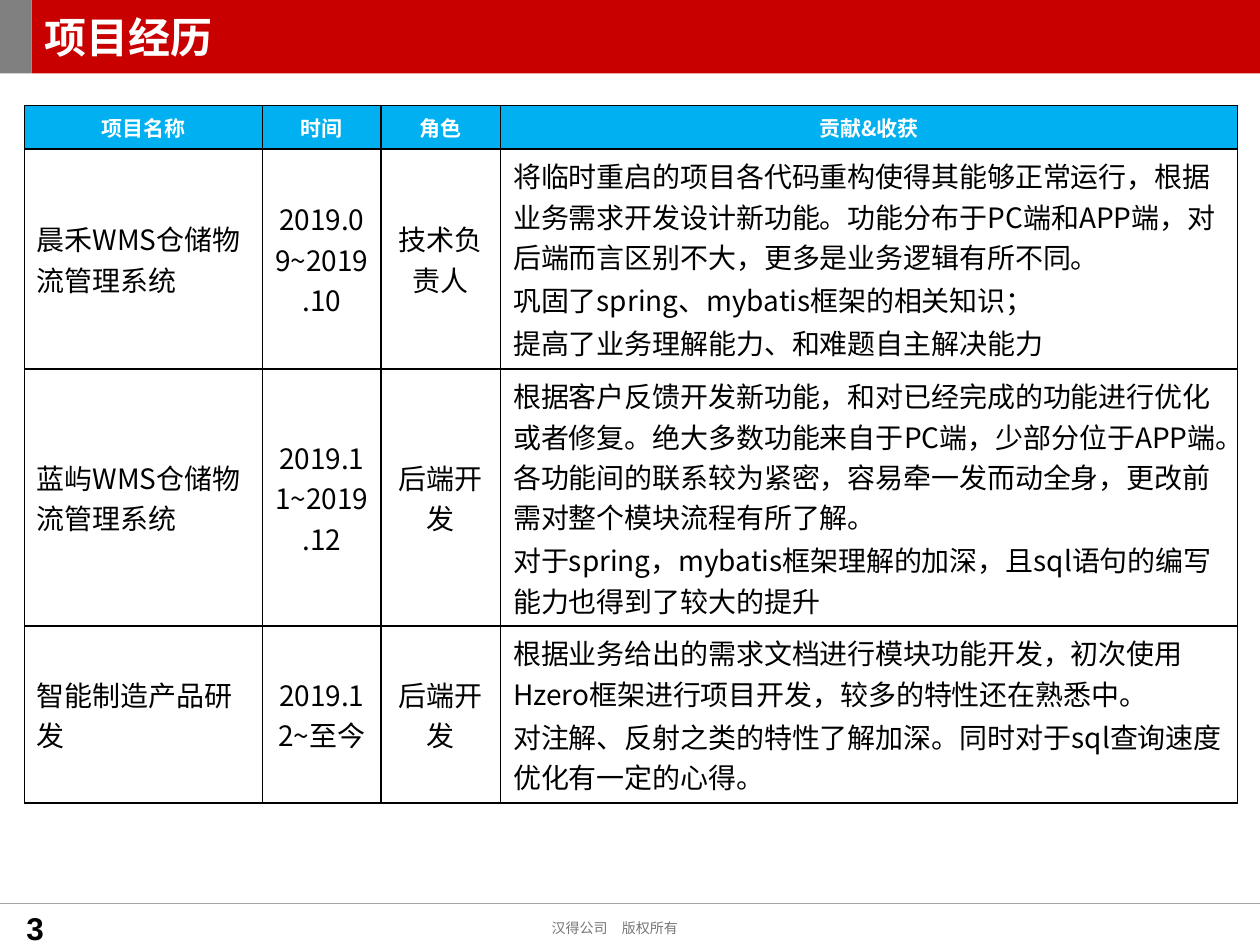
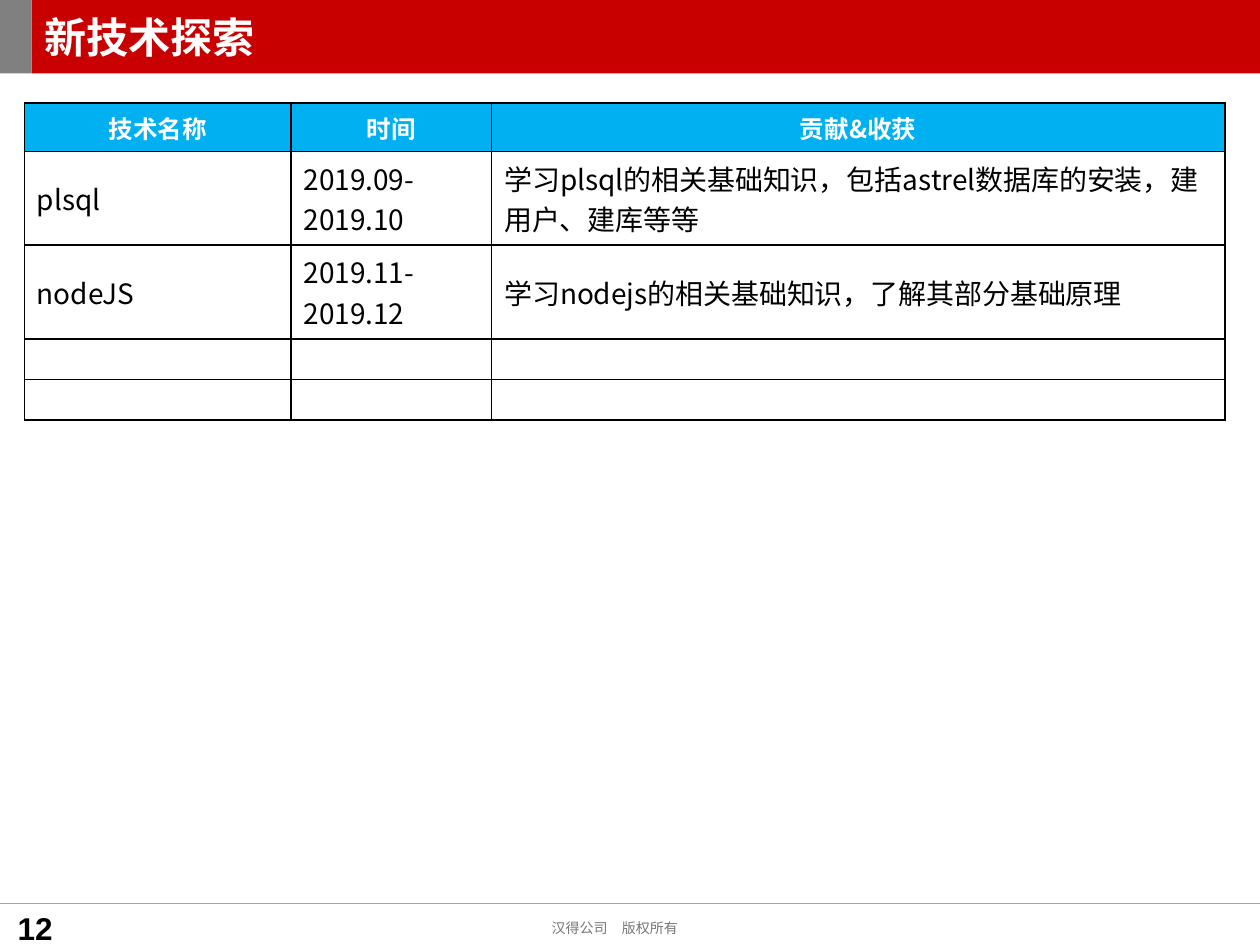
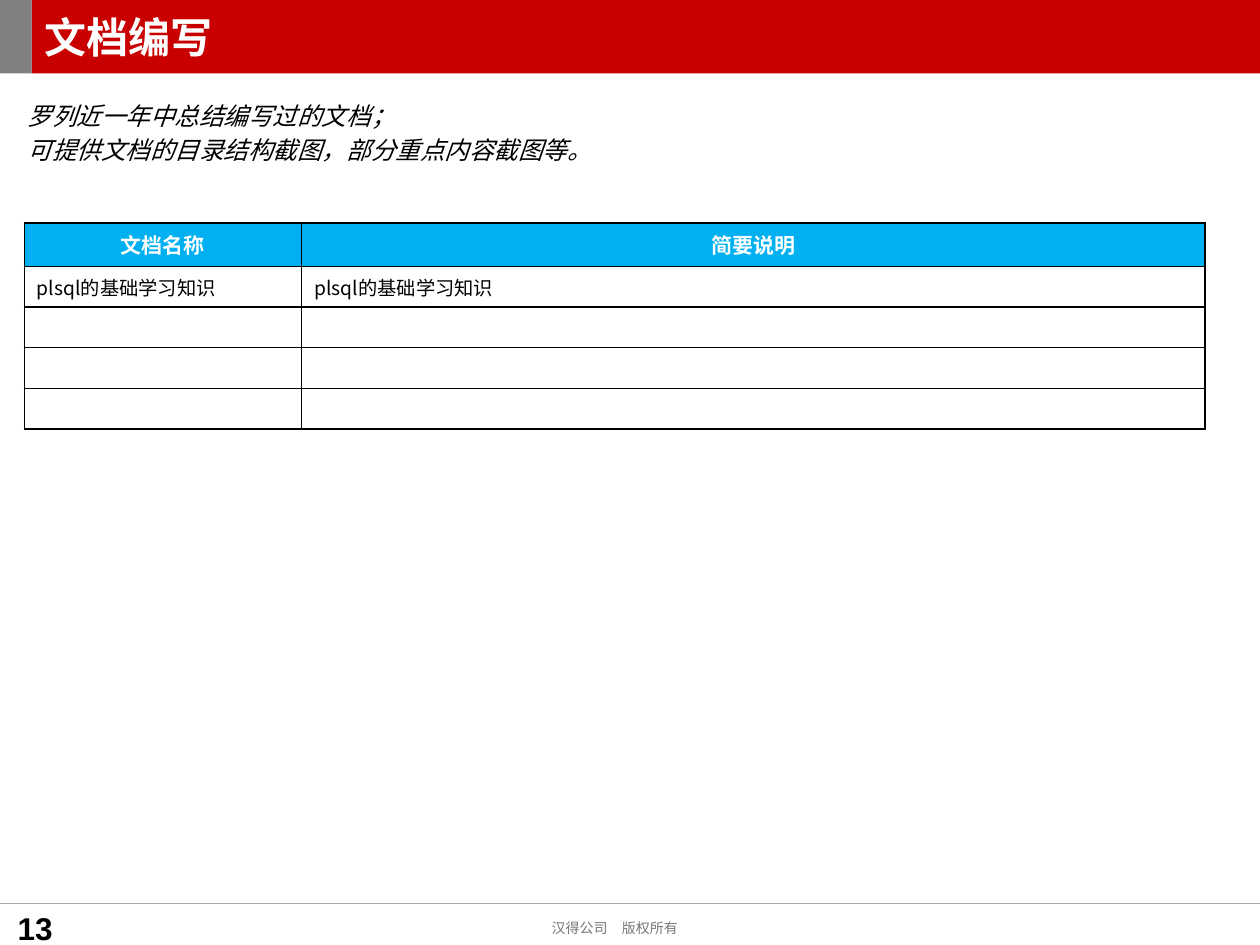
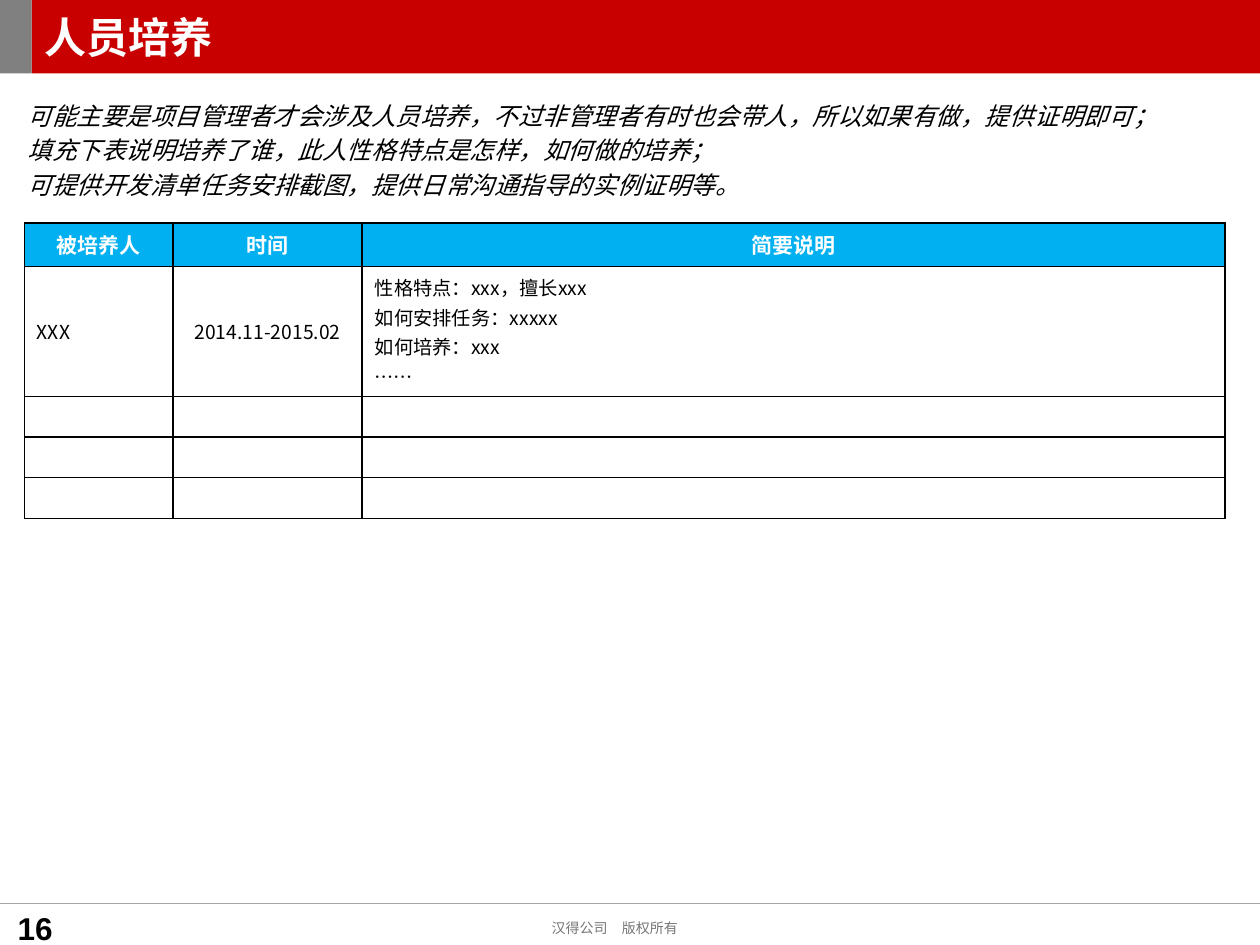
from lxml.etree import SubElement
from pptx import Presentation
from pptx.dml.color import RGBColor
from pptx.enum.shapes import MSO_CONNECTOR, MSO_SHAPE
from pptx.enum.text import MSO_ANCHOR, MSO_AUTO_SIZE, PP_ALIGN
from pptx.oxml.ns import qn
from pptx.util import Cm, Pt

# Shared look
RED, GREY, RULE, BLUE = "C80000", "808080", "A6A6A6", "00B0F0"
BLACK, WHITE, PALE = "000000", "FFFFFF", "777777"
SANS, ARIAL = "Noto Sans CJK SC", "Arial"
WIDE, HIGH = 25.4, 19.05
SIDE, BAND, FOOT = 0.64, 1.48, 18.21
LEFT = 0.49
HEAD, SPARE = 0.87, 0.82
ALIGN = {"l": PP_ALIGN.LEFT, "c": PP_ALIGN.CENTER}


def color(code):
    return RGBColor.from_string(code)


def paint(shape, code):
    shape.fill.solid()
    shape.fill.fore_color.rgb = color(code)


def place(shape, x, y, w, h):
    shape.left, shape.top, shape.width, shape.height = Cm(x), Cm(y), Cm(w), Cm(h)


def style(frame, size, code, face=SANS, bold=False, italic=False,
          align="l", gap=0):
    """Format every run; gap is the space between paragraphs in points."""
    for index, para in enumerate(frame.paragraphs):
        para.alignment = ALIGN[align]
        para.space_before = Pt(gap if index else 0)
        for run in para.runs:
            font = run.font
            font.size, font.bold, font.italic = Pt(size), bold, italic
            font.color.rgb = color(code)
            font.name = face
            SubElement(font._element, qn("a:ea")).set("typeface", face)


# Slide frame
def add_bar(slide):
    bar = slide.shapes.add_shape(
        MSO_SHAPE.RECTANGLE, 0, 0, Cm(SIDE), Cm(BAND))
    bar.shadow.inherit = False
    paint(bar, GREY)
    bar.line.fill.background()


def add_rule(slide):
    rule = slide.shapes.add_connector(
        MSO_CONNECTOR.STRAIGHT, 0, Cm(FOOT), Cm(WIDE), Cm(FOOT))
    rule.line.color.rgb = color(RULE)
    rule.line.width = Pt(0.75)
    SubElement(rule._element.spPr, qn("a:effectLst"))


def add_label(slide, text, x, y, w, h):
    frame = slide.shapes.add_textbox(Cm(x), Cm(y), Cm(w), Cm(h)).text_frame
    frame.text = text
    return frame


def add_foot(slide, number):
    add_rule(slide)
    owner = add_label(slide, "汉得公司　版权所有", 10.87, 18.42, 3.07, 0.61)
    owner.word_wrap = False
    owner.auto_size = MSO_AUTO_SIZE.SHAPE_TO_FIT_TEXT
    style(owner, 8, PALE)

    page = add_label(slide, str(number), 0.1, FOOT, 1.47, 0.84)
    page.word_wrap = True
    page.margin_left = page.margin_bottom = 0
    style(page, 18, BLACK, ARIAL, bold=True, align="c")


def set_title(slide, text):
    title = slide.shapes.title
    place(title, SIDE, 0, WIDE - SIDE, BAND)
    paint(title, RED)
    frame = title.text_frame
    frame.text = text
    frame.auto_size = MSO_AUTO_SIZE.NONE
    frame.vertical_anchor = MSO_ANCHOR.MIDDLE
    style(frame, 24, WHITE, bold=True)


def set_notes(slide, lines):
    body = slide.placeholders[1]
    place(body, 0.3, 1.9, 24.18, 2.21)
    frame = body.text_frame
    frame.text = "\n".join(lines)
    frame.auto_size = MSO_AUTO_SIZE.NONE
    for para in frame.paragraphs:
        props = para._p.get_or_add_pPr()
        props.set("marL", "0")
        props.set("indent", "0")
        SubElement(props, qn("a:buNone"))
    style(frame, 14, BLACK, italic=True, gap=3)


def add_page(deck, number, title, lines=()):
    slide = deck.slides.add_slide(deck.slide_layouts[1 if lines else 5])
    add_bar(slide)
    set_title(slide, title)
    if lines:
        set_notes(slide, lines)
    add_foot(slide, number)
    return slide


# Tables
def add_edges(cell):
    props = cell._tc.get_or_add_tcPr()
    for side in ("lnL", "lnR", "lnT", "lnB"):
        edge = SubElement(props, qn("a:" + side), w=str(Pt(1)))
        fill = SubElement(edge, qn("a:solidFill"))
        SubElement(fill, qn("a:srgbClr"), val=BLACK)


def fill_cell(cell, text, size, head, align):
    add_edges(cell)
    paint(cell, BLUE if head else WHITE)
    cell.vertical_anchor = MSO_ANCHOR.MIDDLE
    frame = cell.text_frame
    frame.text = text
    style(frame, size, WHITE if head else BLACK, bold=head,
          align="c" if head else align, gap=size / 10)
    if not text:
        end = SubElement(frame.paragraphs[0]._p, qn("a:endParaRPr"))
        end.set("sz", "1100")
        SubElement(end, qn("a:latin"), typeface=SANS)
        SubElement(end, qn("a:ea"), typeface=SANS)


def add_grid(slide, top, widths, heights, aligns, sizes, rows, spare=0):
    """Draw a header row, the data rows and some spare empty rows."""
    rows = rows + [[""] * len(widths)] * spare
    heights = heights + [SPARE] * spare
    grid = slide.shapes.add_table(
        len(rows), len(widths), Cm(LEFT), Cm(top),
        Cm(sum(widths)), Cm(sum(heights))).table
    grid.first_row = grid.horz_banding = False
    for column, width in zip(grid.columns, widths):
        column.width = Cm(width)
    for r, row in enumerate(rows):
        head = r == 0
        grid.rows[r].height = Cm(heights[r])
        for c, text in enumerate(row):
            fill_cell(grid.cell(r, c), text, sizes[0 if head else 1],
                      head, aligns[c])


# Content
PROJECTS = [
    ["项目名称", "时间", "角色", "贡献&收获"],
    ["晨禾WMS仓储物流管理系统", "2019.09~2019.10", "技术负责人",
     "将临时重启的项目各代码重构使得其能够正常运行，根据业务需求开发设计新功能。"
     "功能分布于PC端和APP端，对后端而言区别不大，更多是业务逻辑有所不同。\n"
     "巩固了spring、mybatis框架的相关知识；\n"
     "提高了业务理解能力、和难题自主解决能力"],
    ["蓝屿WMS仓储物流管理系统", "2019.11~2019.12", "后端开发",
     "根据客户反馈开发新功能，和对已经完成的功能进行优化或者修复。"
     "绝大多数功能来自于PC端，少部分位于APP端。"
     "各功能间的联系较为紧密，容易牵一发而动全身，更改前需对整个模块流程有所了解。\n"
     "对于spring，mybatis框架理解的加深，且sql语句的编写能力也得到了较大的提升"],
    ["智能制造产品研发", "2019.12~至今", "后端开发",
     "根据业务给出的需求文档进行模块功能开发，初次使用Hzero框架进行项目开发，"
     "较多的特性还在熟悉中。\n"
     "对注解、反射之类的特性了解加深。同时对于sql查询速度优化有一定的心得。"],
]
SKILLS = [
    ["技术名称", "时间", "贡献&收获"],
    ["plsql", "2019.09-2019.10",
     "学习plsql的相关基础知识，包括astrel数据库的安装，建用户、建库等等"],
    ["nodeJS", "2019.11-2019.12",
     "学习nodejs的相关基础知识，了解其部分基础原理"],
]
PAPERS = [
    ["文档名称", "简要说明"],
    ["plsql的基础学习知识", "plsql的基础学习知识"],
]
PEOPLE = [
    ["被培养人", "时间", "简要说明"],
    ["XXX", "2014.11-2015.02",
     "性格特点：xxx，擅长xxx\n如何安排任务：xxxxx\n如何培养：xxx\n……"],
]


def main():
    deck = Presentation()
    deck.slide_width, deck.slide_height = Cm(WIDE), Cm(HIGH)

    # Projects
    slide = add_page(deck, 3, "项目经历")
    add_grid(slide, 2.13, [4.8, 2.39, 2.41, 14.86], [HEAD, 4.44, 5.18, 3.57],
             "lccl", (12, 16), PROJECTS)

    # New skills
    slide = add_page(deck, 12, "新技术探索")
    add_grid(slide, 2.08, [5.38, 4.04, 14.78], [0.97, 1.89, 1.89],
             "lll", (14, 16), SKILLS, 2)

    # Documents
    slide = add_page(deck, 13, "文档编写", [
        "罗列近一年中总结编写过的文档；",
        "可提供文档的目录结构截图，部分重点内容截图等。"])
    add_grid(slide, 4.5, [5.59, 18.21], [HEAD, SPARE],
             "ll", (12, 11), PAPERS, 3)

    # Training
    slide = add_page(deck, 16, "人员培养", [
        "可能主要是项目管理者才会涉及人员培养，不过非管理者有时也会带人，所以如果有做，提供证明即可；",
        "填充下表说明培养了谁，此人性格特点是怎样，如何做的培养；",
        "可提供开发清单任务安排截图，提供日常沟通指导的实例证明等。"])
    add_grid(slide, 4.5, [3, 3.81, 17.4], [HEAD, 2.62],
             "lcl", (12, 11), PEOPLE, 3)

    deck.save("out.pptx")


if __name__ == "__main__":
    main()
